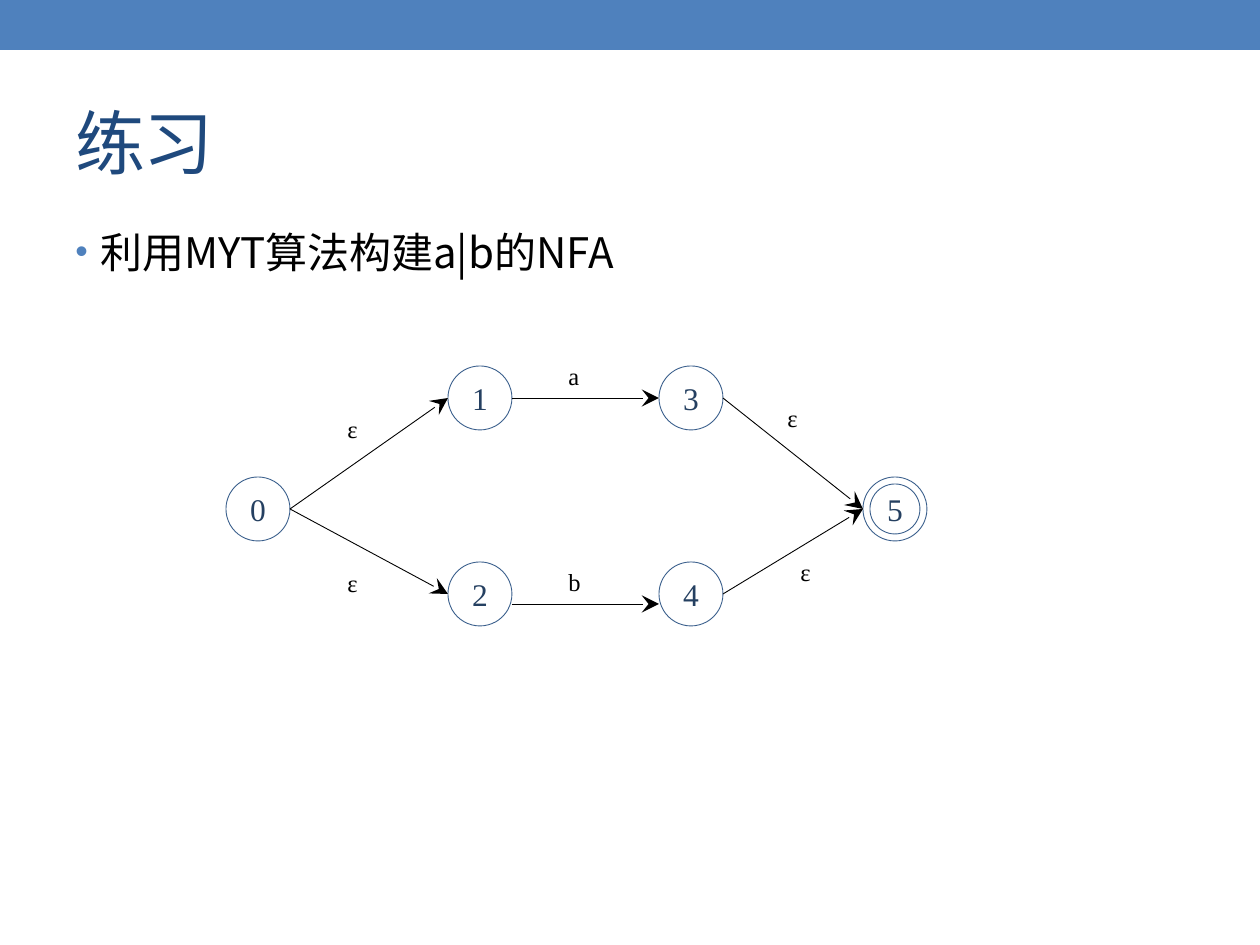
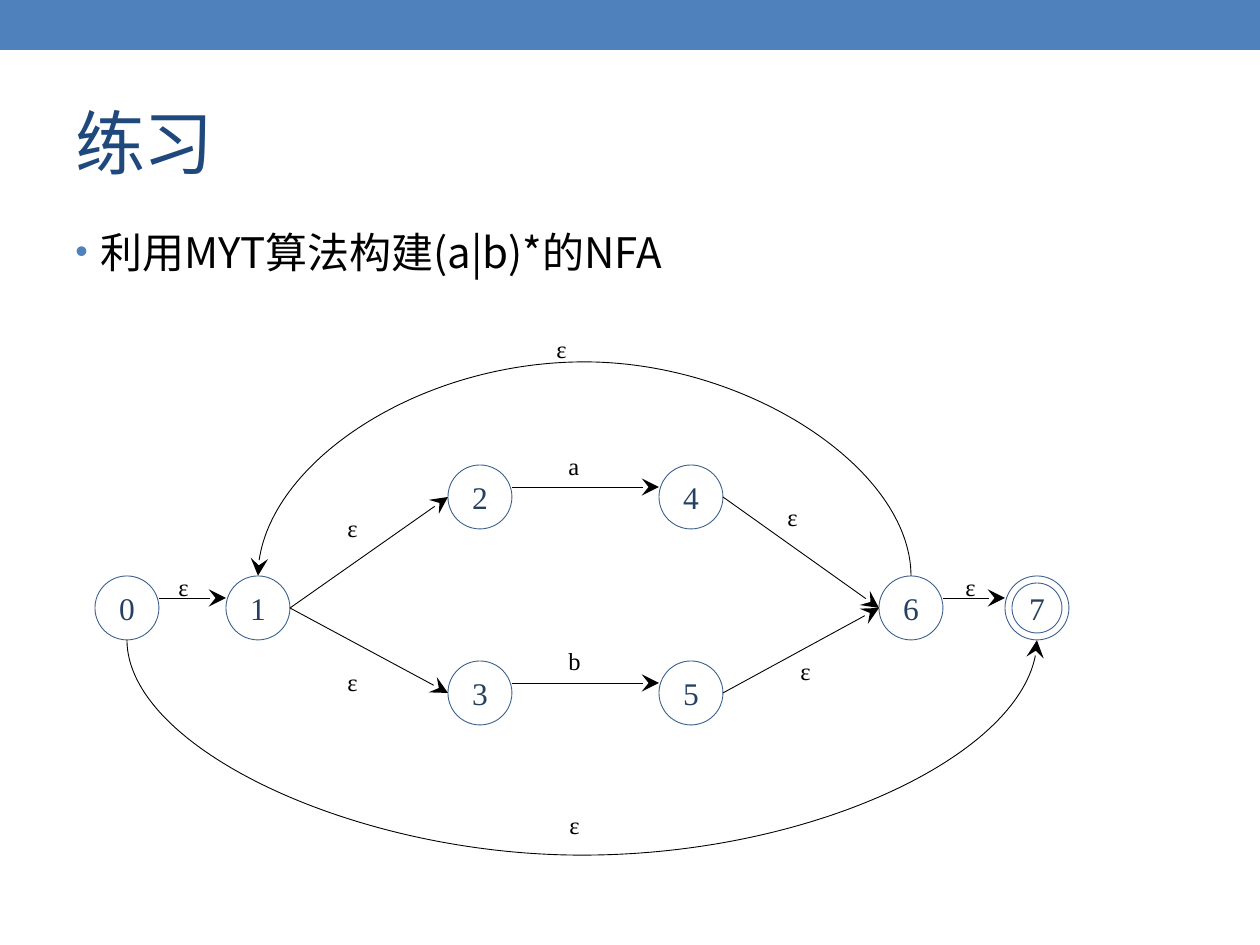
from lxml import etree
from pptx import Presentation
from pptx import util as u
from pptx.dml.color import RGBColor
from pptx.enum import shapes, text
from pptx.oxml.ns import qn

PX = 914400 / 126
PAGE_W, PAGE_H = 1260, 945
BAND, TITLE, BODY = "4F81BD", "1F497D", "000000"
NODE_LINE, NODE_TEXT, EDGE = "3A5F8C", "254061", "000000"
SANS, SERIF = "Noto Sans CJK SC", "Times New Roman"
NODE = 64
RING_GAP = 7
TOP, LEFT, BOTTOM, RIGHT = 0, 2, 4, 6  # connection sites of an ellipse


def px(length):
    return u.Emu(round(length * PX))


def color(value):
    return RGBColor.from_string(value)


def add_child(parent, tag, **attributes):
    return etree.SubElement(parent, qn(tag), {k: str(v) for k, v in attributes.items()})


def style_text(para, size, font, fill):
    for span in para.runs:
        span.font.size = u.Pt(size)
        span.font.name = font
        span.font.color.rgb = color(fill)
        add_child(span.font._element, "a:ea", typeface=font)


def add_text(page, box, words, size, font, fill, wrap=True):
    holder = page.shapes.add_textbox(*map(px, box))
    frame = holder.text_frame
    frame.word_wrap = wrap
    frame.text = words
    style_text(frame.paragraphs[0], size, font, fill)
    return frame


def add_band(page):
    band = page.shapes.add_shape(shapes.MSO_SHAPE.RECTANGLE, 0, 0, px(PAGE_W), px(50))
    band.shadow.inherit = False
    band.fill.solid()
    band.fill.fore_color.rgb = color(BAND)
    band.line.fill.background()


def add_title(page, words):
    frame = add_text(page, (63, 73, 1134, 136), words, 40, SANS, TITLE)
    frame.vertical_anchor = text.MSO_ANCHOR.MIDDLE
    frame.paragraphs[0].runs[0].font._element.set("spc", "-100")


def add_task(page, words, height):
    frame = add_text(page, (63, 220, 1134, height), words, 24, SANS, BODY)
    layout = frame.paragraphs[0]._p.get_or_add_pPr()
    layout.set("marL", str(px(25)))
    layout.set("indent", str(px(-25)))
    add_child(add_child(layout, "a:buClr"), "a:srgbClr", val=BAND)
    add_child(layout, "a:buSzPct", val=85000)
    add_child(layout, "a:buFont", typeface="Arial")
    add_child(layout, "a:buChar", char="•")


def add_circle(holder, left, top, size):
    circle = holder.shapes.add_shape(
        shapes.MSO_SHAPE.OVAL, *map(px, (left, top, size, size)))
    circle.shadow.inherit = False
    circle.fill.background()
    circle.line.color.rgb = color(NODE_LINE)
    circle.line.width = u.Pt(0.5)
    return circle


def add_state(holder, name, left, top):
    state = add_circle(holder, left, top, NODE)
    frame = state.text_frame
    frame.margin_left = frame.margin_right = 0
    frame.vertical_anchor = text.MSO_ANCHOR.MIDDLE
    frame.text = name
    frame.paragraphs[0].alignment = text.PP_ALIGN.CENTER
    style_text(frame.paragraphs[0], 18, SERIF, NODE_TEXT)
    return state


def add_final_state(page, name, left, top):
    """A state drawn with a double ring."""
    group = page.shapes.add_group_shape()
    add_circle(group, left + RING_GAP, top + RING_GAP, NODE - 2 * RING_GAP)
    return add_state(group, name, left, top)


def add_label(page, words, left, top):
    add_text(page, (left, top, 36, 43), words, 14, SERIF, EDGE, wrap=False)


def style_edge(edge):
    edge.line.color.rgb = color(EDGE)
    edge.line.width = u.Pt(0.5)
    add_child(edge.line._get_or_add_ln(), "a:tailEnd", type="stealth", w="lg", len="lg")
    add_child(edge._element.spPr, "a:effectLst")


def glue(edge, source, target, source_site, target_site):
    links = edge._element.find(".//" + qn("p:cNvCxnSpPr"))
    add_child(links, "a:stCxn", id=source.shape_id, idx=source_site)
    add_child(links, "a:endCxn", id=target.shape_id, idx=target_site)


def add_edge(page, source, target, shift=0):
    """Arrow from right side to left side; a shift moves it off the middle."""
    start_y, end_y = (s.top + s.height // 2 + px(shift) for s in (source, target))
    edge = page.shapes.add_connector(
        shapes.MSO_CONNECTOR.STRAIGHT, source.left + source.width, start_y,
        target.left, end_y)
    style_edge(edge)
    if not shift:
        glue(edge, source, target, RIGHT, LEFT)


def add_loop(page, source, target, site, depth):
    """Curved arrow that leaves and enters at the same site, above or below."""
    start, end = (s.left + s.width // 2 for s in (source, target))
    level = source.top + (source.height if site == BOTTOM else 0)
    thin, span = 3175, abs(end - start)
    edge = page.shapes.add_connector(shapes.MSO_CONNECTOR.CURVE, 0, 0, thin, span)
    edge.left, edge.top = (start + end - thin) // 2, level - span // 2
    edge.rotation = 90 if site == BOTTOM else 270
    edge._element.spPr.find(qn("a:xfrm")).set("flipV", "1")
    guides = edge._element.spPr.find(qn("a:prstGeom")).find(qn("a:avLst"))
    add_child(guides, "a:gd", name="adj1", fmla=f"val {round(px(depth) / thin * 100000)}")
    style_edge(edge)
    glue(edge, source, target, site, site)


def add_choice(page, left, top, names, exit_x, add_exit, shifts, letters):
    """The a|b automaton; returns its entry and exit states."""
    entry_name, upper_in, lower_in, upper_out, lower_out, exit_name = names
    middle, low, first_x, second_x = top + 111, top + 196, left + 222, left + 433
    entry = add_state(page, entry_name, left, middle)
    leave = add_exit(page, exit_name, left + exit_x, middle)
    branches = ((top, upper_in, upper_out), (low, lower_in, lower_out))
    for (level, before, after), shift in zip(branches, shifts):
        first = add_state(page, before, first_x, level)
        second = add_state(page, after, second_x, level)
        add_edge(page, entry, first)
        add_edge(page, first, second, shift)
        add_edge(page, second, leave)
    for x, y in ((109, 42), (109, 196), (549, 31), (562, 185)):
        add_label(page, "ε", left + x, top + y)
    for letter, y in zip("ab", letters):
        add_label(page, letter, left + 330, top + y)
    return entry, leave


def add_star(page, left, top):
    """The (a|b)* automaton: the choice with a start, an end and two loops."""
    middle = top + 111
    entry, leave = add_choice(page, left + 131, top, "123456", 653, add_state,
                              (-10, -10), (-20, 175))
    start = add_state(page, "0", left, middle)
    end = add_final_state(page, "7", left + 910, middle)
    add_edge(page, start, entry, -10)
    add_edge(page, leave, end, -10)
    add_loop(page, leave, entry, TOP, 210)
    add_loop(page, start, end, BOTTOM, 211)
    for x, y in ((71, 101), (858, 101), (449, -137), (462, 339)):
        add_label(page, "ε", left + x, top + y)


def add_page(deck, task, task_height):
    page = deck.slides.add_slide(deck.slide_layouts[6])
    add_band(page)
    add_title(page, "练习")
    add_task(page, task, task_height)
    return page


def main():
    deck = Presentation()
    deck.slide_width, deck.slide_height = px(PAGE_W), px(PAGE_H)
    choice_page = add_page(deck, "利用MYT算法构建a|b的NFA", 672)
    add_choice(choice_page, 226, 366, "012345", 637, add_final_state, (0, 10), (-11, 195))
    star_page = add_page(deck, "利用MYT算法构建(a|b)*的NFA", 96)
    add_star(star_page, 95, 465)
    deck.save("out.pptx")


if __name__ == "__main__":
    main()
